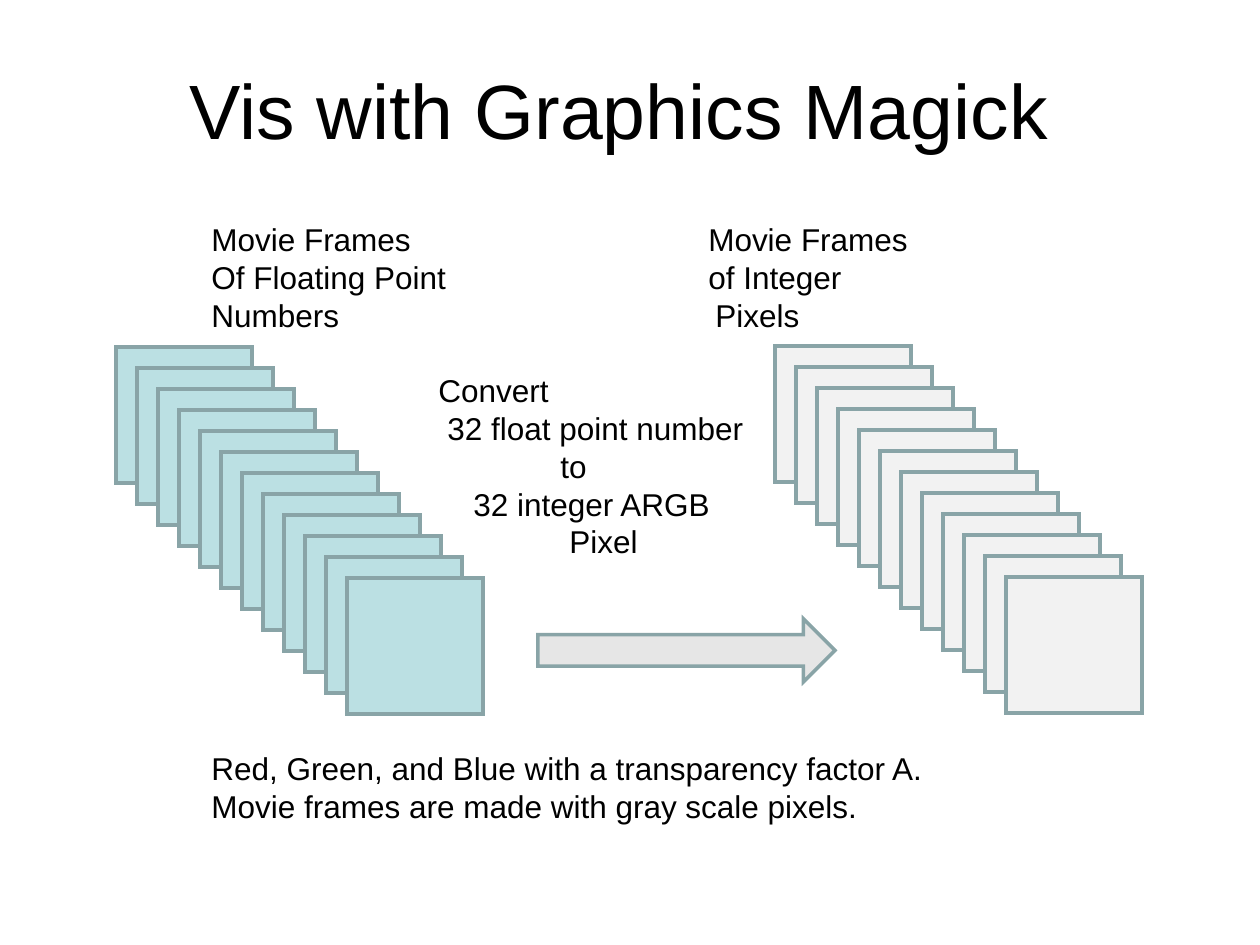
import pptx
import pptx.dml.color
import pptx.enum.shapes
import pptx.enum.text
import pptx.oxml.ns
import pptx.util
import lxml.etree

PX_PER_INCH = 126
FONT = "Arial"
COLORS = {
    "text": "000000",
    "float_frame": "BBE0E3",
    "pixel_frame": "F2F2F2",
    "arrow": "E6E6E6",
    "outline": "89A4A7",
}
FRAME_COUNT, FRAME_SIZE, FRAME_STEP = 12, 136, 21
LINE_HEIGHT = 21.6  # points

# Lines of each text block, with their indents in px
FLOAT_CAPTION = [("Movie Frames", 0), ("Of Floating Point", 0), ("Numbers", 0)]
PIXEL_CAPTION = [("Movie Frames", 0), ("of Integer", 0), ("Pixels", 7)]
CONVERSION = [
    ("Convert", 0),
    ("32 float point number", 9),
    ("to", 122),
    ("32 integer ARGB", 35),
    ("Pixel", 131),
]
REMARK = [
    ("Red, Green, and Blue with a transparency factor A.", 0),
    ("Movie frames are made with gray scale pixels.", 0),
]


def px(length):
    return pptx.util.Emu(round(length * 914400 / PX_PER_INCH))


def color(name):
    return pptx.dml.color.RGBColor.from_string(COLORS[name])


def add_span(para, text, size):
    span = para.add_run()
    span.text = text
    span.font.name = FONT
    span.font.size = pptx.util.Pt(size)
    span.font.color.rgb = color("text")


def set_title(page, text):
    title = page.shapes.title
    title.left, title.top, title.width, title.height = map(px, (63, 30, 1134, 158))
    title.text_frame.vertical_anchor = pptx.enum.text.MSO_ANCHOR.MIDDLE
    para = title.text_frame.paragraphs[0]
    para.alignment = pptx.enum.text.PP_ALIGN.CENTER
    add_span(para, text, 44)


def add_outlined_shape(page, kind, left, top, width, height, fill):
    shape = page.shapes.add_shape(kind, *map(px, (left, top, width, height)))
    shape.shadow.inherit = False
    shape.fill.solid()
    shape.fill.fore_color.rgb = color(fill)
    shape.line.color.rgb = color("outline")
    shape.line.width = pptx.util.Pt(2)
    # Square corners on the outline
    outline = shape.line._get_or_add_ln()
    lxml.etree.SubElement(outline, pptx.oxml.ns.qn("a:miter"), lim="800000")


def add_frame_stack(page, left, top, fill):
    for index in range(FRAME_COUNT):
        offset = index * FRAME_STEP
        add_outlined_shape(page, pptx.enum.shapes.MSO_SHAPE.RECTANGLE,
                           left + offset, top + offset, FRAME_SIZE, FRAME_SIZE, fill)


def add_text_block(page, left, top, width, height, lines):
    box = page.shapes.add_textbox(*map(px, (left, top, width, height)))
    frame = box.text_frame
    frame.word_wrap = True
    for index, (text, indent) in enumerate(lines):
        para = frame.add_paragraph() if index else frame.paragraphs[0]
        para.line_spacing = pptx.util.Pt(LINE_HEIGHT)
        properties = para._p.get_or_add_pPr()
        properties.set("marL", str(px(indent)))
        properties.set("indent", "0")
        add_span(para, text, 18)


def main():
    deck = pptx.Presentation()
    deck.slide_width, deck.slide_height = px(1260), px(945)
    page = deck.slides.add_slide(deck.slide_layouts[5])

    set_title(page, "Vis with Graphics Magick ")

    # Frames before and after the conversion
    add_frame_stack(page, 116, 347, "float_frame")
    add_frame_stack(page, 775, 346, "pixel_frame")

    # Captions above the stacks
    add_text_block(page, 199, 214, 280, 126, FLOAT_CAPTION)
    add_text_block(page, 696, 214, 240, 126, PIXEL_CAPTION)

    # Conversion steps and remark
    add_text_block(page, 426, 365, 340, 202, CONVERSION)
    add_text_block(page, 199, 743, 760, 88, REMARK)

    # Conversion arrow
    add_outlined_shape(page, pptx.enum.shapes.MSO_SHAPE.RIGHT_ARROW,
                       538, 619, 297, 63, "arrow")

    deck.save("out.pptx")


if __name__ == "__main__":
    main()
